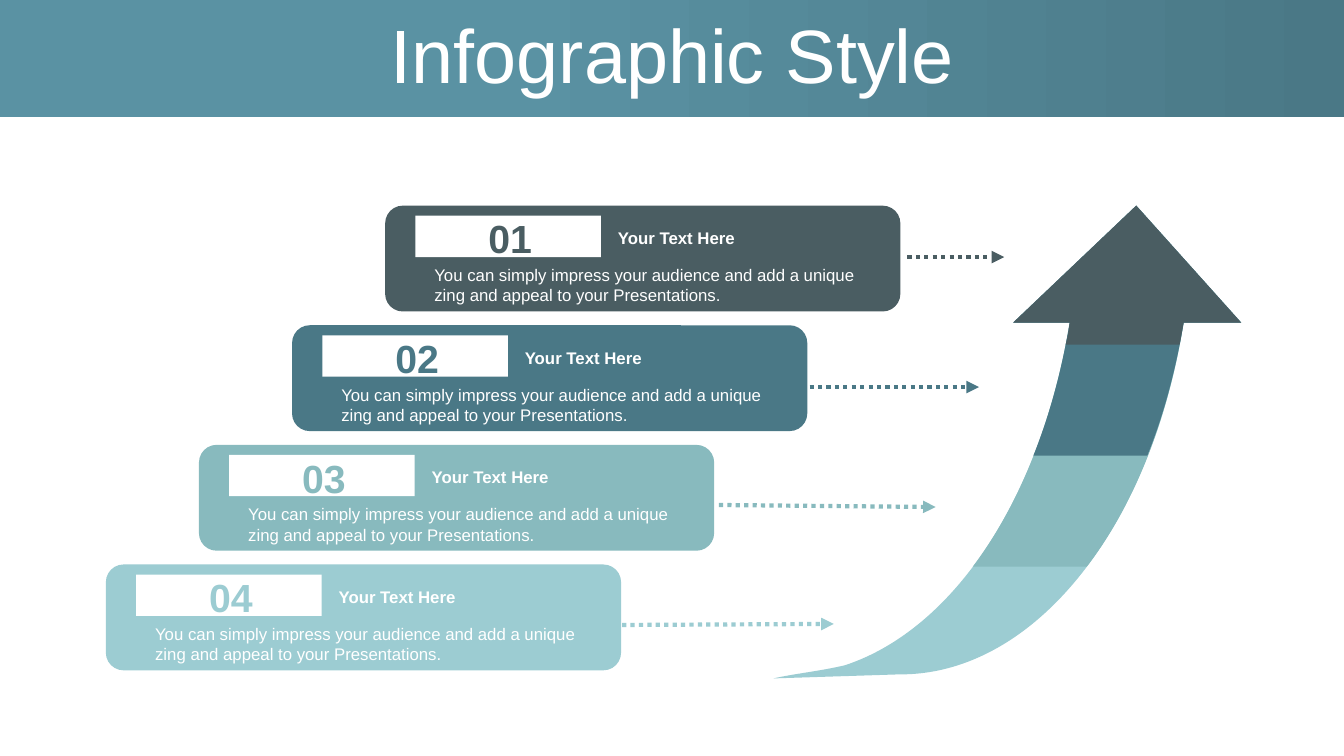
from typing import NamedTuple

from lxml import etree
from pptx import Presentation
from pptx import util as u
from pptx.dml.color import RGBColor
from pptx.enum import dml, shapes, text
from pptx.oxml import ns

WHITE = "FFFFFF"
BODY = ("You can simply impress your audience and add a unique "
        "zing and appeal to your Presentations.")
FIRST_LEFT, FIRST_TOP = 3.82, 2.04
LAST_LEFT, LAST_TOP = 1.05, 5.6

Point = tuple[float, float]
Segment = tuple[Point, ...]


class Step(NamedTuple):
    number: str
    color: str
    pointer_from: Point
    pointer_to: Point


class Band(NamedTuple):
    """One arrow layer, from the right of its neck round to the left.

    A segment of one point is straight; one of three points is a cubic curve.
    """
    color: str
    segments: tuple[Segment, ...]


STEPS = [
    Step("01", "4A5D62", (9, 2.55), (9.96, 2.55)),
    Step("02", "4A7886", (8.03, 3.84), (9.71, 3.84)),
    Step("03", "88BABE", (7.13, 5.01), (9.28, 5.03)),
    Step("04", "9CCCD2", (6.17, 6.2), (8.27, 6.19)),
]

ARROW_TIP, HEAD_RIGHT, HEAD_LEFT = (11.27, 2.04), (12.31, 3.2), (10.05, 3.2)
NECK_RIGHT, NECK_LEFT = (11.74, 3.2), (10.61, 3.2)
BANDS = [
    Band("9CCCD2", (((11.4, 5.3), (10.22, 6.7), (8.92, 6.69)),
                    ((7.67, 6.73),),
                    ((7.9, 6.68), (8.12, 6.66), (8.38, 6.6)),
                    ((9.47, 6.24), (10.33, 4.92), NECK_LEFT))),
    Band("88BABE", (((11.58, 4.19), (11.24, 5.02), (10.78, 5.62)),
                    ((9.65, 5.62),),
                    ((10.11, 5.01), (10.45, 4.17), NECK_LEFT))),
    Band("4A7886", (((11.66, 3.68), (11.54, 4.12), (11.38, 4.52)),
                    ((10.25, 4.52),),
                    ((10.41, 4.12), (10.53, 3.68), NECK_LEFT))),
    Band("4A5D62", (((11.7, 3.42),),
                    ((10.57, 3.42),),
                    ((10.59, 3.35), (10.6, 3.28), NECK_LEFT))),
]


def rgb(value: str) -> RGBColor:
    return RGBColor.from_string(value)


def inches(*lengths: float) -> list[u.Length]:
    return [u.Inches(length) for length in lengths]


def paint(shape, color: str) -> None:
    shape.shadow.inherit = False
    shape.fill.solid()
    shape.fill.fore_color.rgb = rgb(color)
    shape.line.fill.background()


def add_panel(slide, kind, left: float, top: float, width: float,
              height: float, color: str):
    panel = slide.shapes.add_shape(kind, *inches(left, top, width, height))
    paint(panel, color)
    return panel


def add_label(slide, wording: str, left: float, top: float, width: float,
              height: float, size: float, color: str, bold: bool = False,
              align=text.PP_ALIGN.LEFT):
    frame = slide.shapes.add_textbox(
        *inches(left, top, width, height)).text_frame
    paragraph = frame.paragraphs[0]
    paragraph.text = wording
    paragraph.alignment = align
    font = paragraph.runs[0].font
    font.color.rgb = rgb(color)
    formats = {
        frame: {"word_wrap": True,
                "auto_size": text.MSO_AUTO_SIZE.SHAPE_TO_FIT_TEXT},
        font: {"name": "Arial", "size": u.Pt(size), "bold": bold},
    }
    for target, values in formats.items():
        for name, value in values.items():
            setattr(target, name, value)
    return frame


def add_banner(slide) -> None:
    banner = add_panel(slide, shapes.MSO_SHAPE.RECTANGLE,
                       0, 0, 13.33, 1.16, "5A92A3")
    banner.fill.gradient()
    banner.fill.gradient_angle = 0
    stops = ((0.38, "5A92A3"), (1, "4A7886"))
    for stop, (position, color) in zip(banner.fill.gradient_stops, stops):
        stop.position = position
        stop.color.rgb = rgb(color)
    title = add_label(slide, "Infographic Style", 0.34, 0.19, 12.66, 0.79, 54,
                      WHITE, align=text.PP_ALIGN.CENTER)
    title.auto_size = text.MSO_AUTO_SIZE.NONE
    title.vertical_anchor = text.MSO_ANCHOR.MIDDLE
    title.paragraphs[0].line_spacing = 0.9


def add_card(slide, step: Step, left: float, top: float) -> None:
    add_panel(slide, shapes.MSO_SHAPE.ROUNDED_RECTANGLE,
              left, top, 5.11, 1.05, step.color)
    add_panel(slide, shapes.MSO_SHAPE.RECTANGLE,
              left + 0.3, top + 0.1, 1.84, 0.41, WHITE)
    add_label(slide, step.number, left + 0.82, top + 0.04, 0.84, 0.57, 28,
              step.color, bold=True, align=text.PP_ALIGN.CENTER)
    add_label(slide, "Your Text Here", left + 2.21, top + 0.17, 1.69, 0.3,
              12, WHITE, bold=True)
    add_label(slide, BODY, left + 0.39, top + 0.54, 4.44, 0.5, 12, WHITE)


def add_pointer(slide, step: Step) -> None:
    pointer = slide.shapes.add_connector(
        shapes.MSO_CONNECTOR.STRAIGHT,
        *inches(*step.pointer_from, *step.pointer_to))
    line = pointer.line
    line.color.rgb = rgb(step.color)
    for name, value in {"width": u.Pt(3),
                        "dash_style": dml.MSO_LINE.ROUND_DOT}.items():
        setattr(line, name, value)
    properties = pointer.element.spPr
    outline = properties.find(ns.qn("a:ln"))
    etree.SubElement(outline, ns.qn("a:tailEnd"), type="triangle")
    etree.SubElement(properties, ns.qn("a:effectLst"))


def add_band(slide, band: Band) -> None:
    segments = ((HEAD_RIGHT,), (NECK_RIGHT,), *band.segments, (HEAD_LEFT,))
    builder = slide.shapes.build_freeform(*inches(*ARROW_TIP), scale=1.0)
    builder.add_line_segments(
        [inches(*point) for segment in segments for point in segment])
    layer = builder.convert_to_shape()
    paint(layer, band.color)

    # Merge the three straight pieces of each curve into one cubic piece.
    pieces = iter(list(layer.element.iter(ns.qn("a:lnTo"))))
    for segment in segments:
        first, *others = [next(pieces) for _ in segment]
        if others:
            first.tag = ns.qn("a:cubicBezTo")
        for piece in others:
            first.append(piece[0])
            piece.getparent().remove(piece)


def main() -> None:
    deck = Presentation()
    deck.slide_width, deck.slide_height = inches(13.33, 7.5)
    slide = deck.slides.add_slide(deck.slide_layouts[6])
    add_banner(slide)
    gaps = len(STEPS) - 1
    for index, step in enumerate(STEPS):
        add_card(slide, step,
                 FIRST_LEFT + index * (LAST_LEFT - FIRST_LEFT) / gaps,
                 FIRST_TOP + index * (LAST_TOP - FIRST_TOP) / gaps)
    for band in BANDS:
        add_band(slide, band)
    for step in STEPS:
        add_pointer(slide, step)
    deck.save("out.pptx")


if __name__ == "__main__":
    main()
